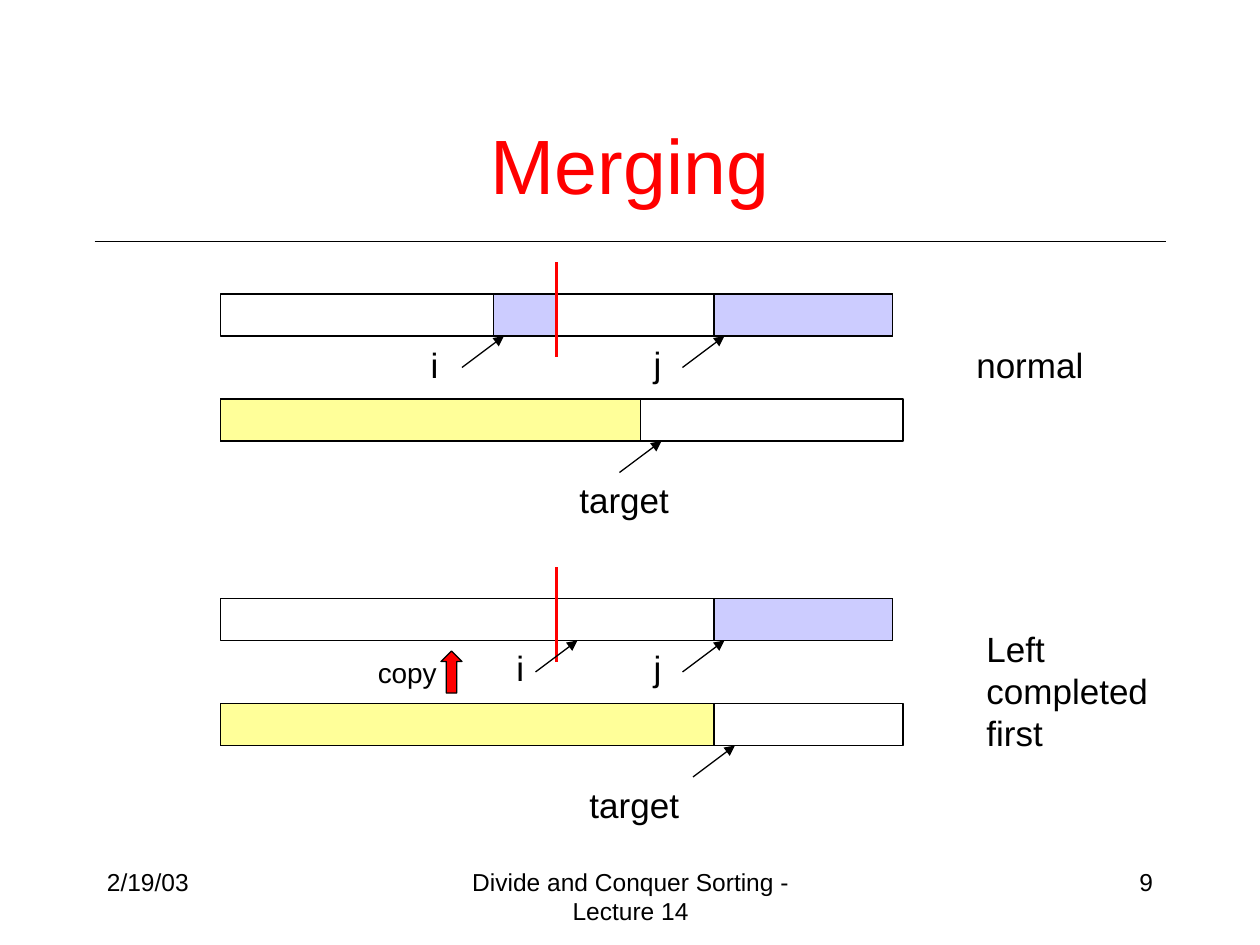
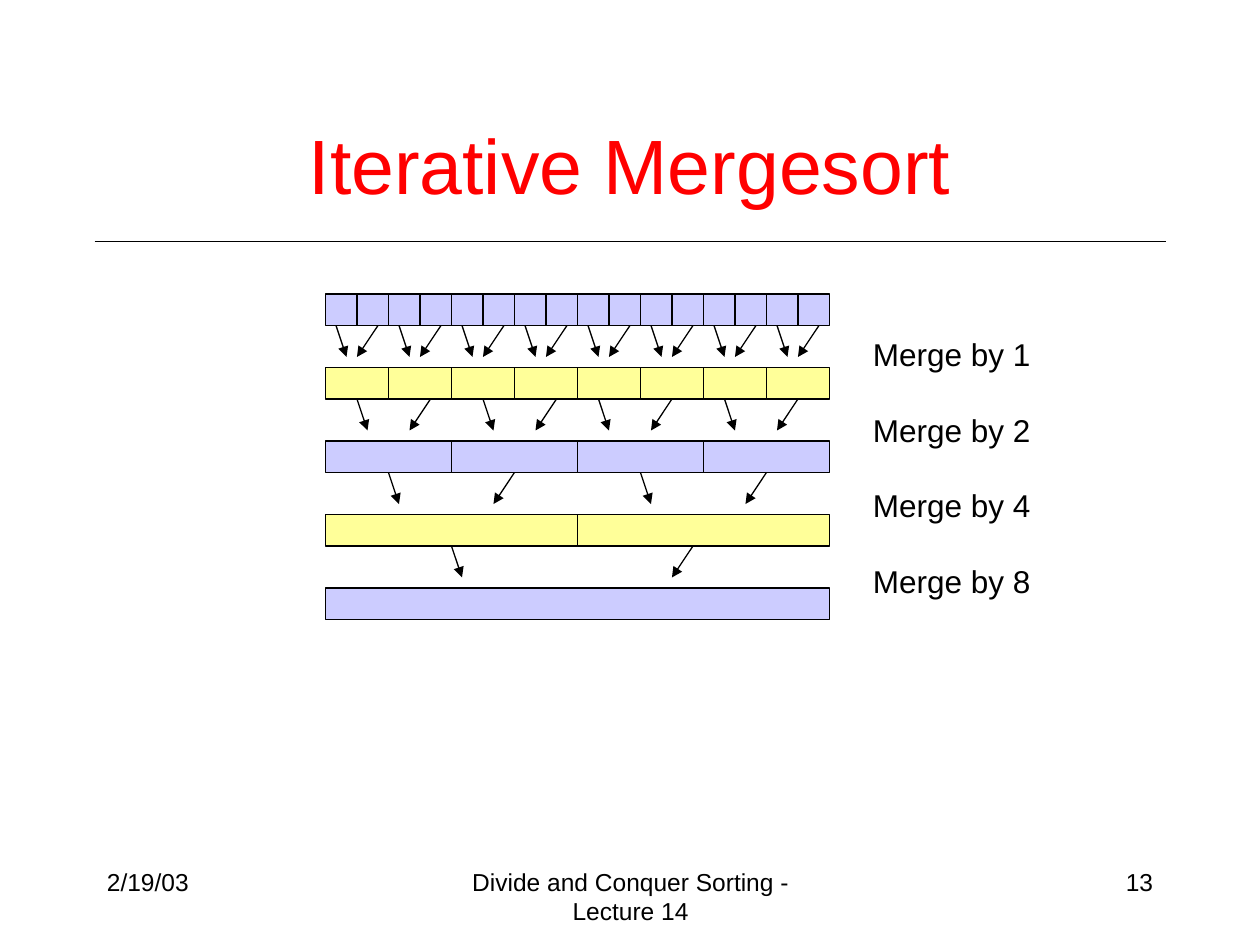
from lxml import etree
from pptx import Presentation
from pptx.dml.color import RGBColor
from pptx.enum.shapes import MSO_CONNECTOR, MSO_SHAPE
from pptx.enum.text import MSO_ANCHOR, MSO_AUTO_SIZE, PP_ALIGN
from pptx.oxml.ns import qn
from pptx.util import Inches, Pt

RECTANGLE, UP_ARROW = MSO_SHAPE.RECTANGLE, MSO_SHAPE.UP_ARROW
STRAIGHT = MSO_CONNECTOR.STRAIGHT
LEFT, CENTER, RIGHT = PP_ALIGN.LEFT, PP_ALIGN.CENTER, PP_ALIGN.RIGHT
TOP, MIDDLE = MSO_ANCHOR.TOP, MSO_ANCHOR.MIDDLE
FIT_SHAPE, NO_FIT = MSO_AUTO_SIZE.SHAPE_TO_FIT_TEXT, MSO_AUTO_SIZE.NONE

FONT = "Arial"
BLACK, RED = "000000", "FF0000"
LAVENDER, YELLOW = "CCCCFF", "FFFF99"
LINE_WIDTH = 0.75
DATE = "2/19/03"
LECTURE = "Divide and Conquer Sorting - Lecture 14"

# Both diagrams sit on a grid of twelve steps to the inch
STEPS_PER_INCH = 12


def color(hex_value):
    return RGBColor.from_string(hex_value)


def grid(steps):
    return Inches(steps / STEPS_PER_INCH)


# Elements

def add_text(slide, lines, left, top, width, height, size, ink=BLACK,
             align=LEFT, anchor=TOP, wrap=False, gap=0):
    box = slide.shapes.add_textbox(Inches(left), Inches(top),
                                   Inches(width), Inches(height))
    frame = box.text_frame
    frame_format = {"word_wrap": wrap, "vertical_anchor": anchor,
                    "auto_size": NO_FIT if wrap else FIT_SHAPE}
    for name, value in frame_format.items():
        setattr(frame, name, value)
    for index, line in enumerate(lines):
        paragraph = frame.paragraphs[0] if index == 0 else frame.add_paragraph()
        paragraph.alignment = align
        if index and gap:
            paragraph.space_before = Pt(gap)
        run = paragraph.add_run()
        run.text = line
        for name, value in {"name": FONT, "size": Pt(size)}.items():
            setattr(run.font, name, value)
        run.font.color.rgb = color(ink)


def add_block(slide, left, top, width, height, fill=None, kind=RECTANGLE):
    """Outlined shape placed in grid steps."""
    block = slide.shapes.add_shape(kind, grid(left), grid(top),
                                   grid(width), grid(height))
    block.shadow.inherit = False
    if fill:
        block.fill.solid()
        block.fill.fore_color.rgb = color(fill)
    else:
        block.fill.background()
    block.line.color.rgb = color(BLACK)
    block.line.width = Pt(LINE_WIDTH)


def add_line(slide, x1, y1, x2, y2, ink=BLACK, width=LINE_WIDTH, arrow=False):
    """Straight line between two grid points."""
    line = slide.shapes.add_connector(STRAIGHT, grid(x1), grid(y1),
                                      grid(x2), grid(y2))
    line.line.color.rgb = color(ink)
    line.line.width = Pt(width)
    properties = line._element.spPr
    if arrow:
        etree.SubElement(properties.find(qn("a:ln")), qn("a:tailEnd"),
                         type="triangle")
    etree.SubElement(properties, qn("a:effectLst"))


def add_lecture_slide(deck, title, number):
    """Blank slide with the shared title, rule and footer."""
    slide = deck.slides.add_slide(deck.slide_layouts[6])
    add_line(slide, 9, 23, 111, 23)
    add_text(slide, [title], 0.75, 0.67, 8.5, 1.25, 44, RED,
             CENTER, MIDDLE, wrap=True)
    for text, left, width, align in ((LECTURE, 3.42, 3.17, CENTER),
                                     (str(number), 7.17, 2.08, RIGHT),
                                     (DATE, 0.75, 2.08, LEFT)):
        add_text(slide, [text], left, 6.83, width, 0.5, 14,
                 align=align, wrap=True)
    return slide


# Merging: source array above, target array below

def add_merge_state(slide, top, remaining, merged, i_tip, target_tip):
    left, half, height = 21, 32, 4
    middle = left + half
    target_top = top + 10
    j_tip = 69

    add_block(slide, left, target_top, merged, height, YELLOW)
    for half_left in (left, middle):
        add_block(slide, half_left, top, half, height)
    add_block(slide, left, target_top, 65, height)
    for part_left, part_width in remaining:
        add_block(slide, part_left, top, part_width, height, LAVENDER)
    add_line(slide, middle, top - 3, middle, top + 6, RED, 1.5)

    for tip, array_top in ((i_tip, top), (j_tip, top),
                           (target_tip, target_top)):
        base = array_top + height
        add_line(slide, tip - 4, base + 3, tip, base, arrow=True)


def build_merging(deck):
    slide = add_lecture_slide(deck, "Merging", 9)
    add_merge_state(slide, 28, [(47, 6), (68, 17)], 40, 48, 63)
    add_merge_state(slide, 57, [(68, 17)], 47, 55, 70)
    add_block(slide, 42, 62, 2, 4, RED, UP_ARROW)

    labels = [
        (["i"], 3.32, 2.68, 0.26),
        (["j"], 5.09, 2.67, 0.26),
        (["target"], 4.5, 3.75, 0.91),
        (["normal"], 7.65, 2.68, 1.05),
        (["i"], 4, 5.08, 0.26),
        (["j"], 5.09, 5.08, 0.26),
        (["target"], 4.58, 6.17, 0.91),
    ]
    for lines, left, top, width in labels:
        add_text(slide, lines, left, top, width, 0.44, 20)
    add_text(slide, ["Left completed", "first"], 7.73, 4.93, 2.02, 0.77, 20)
    add_text(slide, ["copy"], 2.9, 5.15, 0.67, 0.37, 16)


# Iterative Mergesort: each pass halves the number of runs

def build_iterative_mergesort(deck):
    slide = add_lecture_slide(deck, "Iterative Mergesort", 13)
    left, top, total, height, pitch = 31, 28, 48, 3, 7
    # Where each pair of arrows starts, in steps from the left edge
    arrow_pairs = [
        [(start + 1, start + 5) for start in range(0, total, 6)],
        [(3, 10), (15, 22), (26, 33), (38, 45)],
        [(6, 18), (30, 42)],
        [(12, 35)],
    ]
    for level in range(5):
        run_count = 16 // 2 ** level
        run_width = total // run_count
        row_top = top + level * pitch
        for index in range(run_count):
            add_block(slide, left + index * run_width, row_top, run_width,
                      height, YELLOW if level % 2 else LAVENDER)

    for level, pairs in enumerate(arrow_pairs):
        start_y = top + level * pitch + height
        for pair in pairs:
            for start, shift in zip(pair, (1, -2)):
                x = left + start
                add_line(slide, x, start_y, x + shift, start_y + 3, arrow=True)

    merges = [f"Merge by {2 ** level}" for level in range(4)]
    add_text(slide, merges, 6.83, 2.61, 1.45, 2.2, 18, gap=21.6)


def main():
    deck = Presentation()
    deck.slide_width, deck.slide_height = Inches(10), Inches(7.5)
    build_merging(deck)
    build_iterative_mergesort(deck)
    deck.save("out.pptx")


if __name__ == "__main__":
    main()
